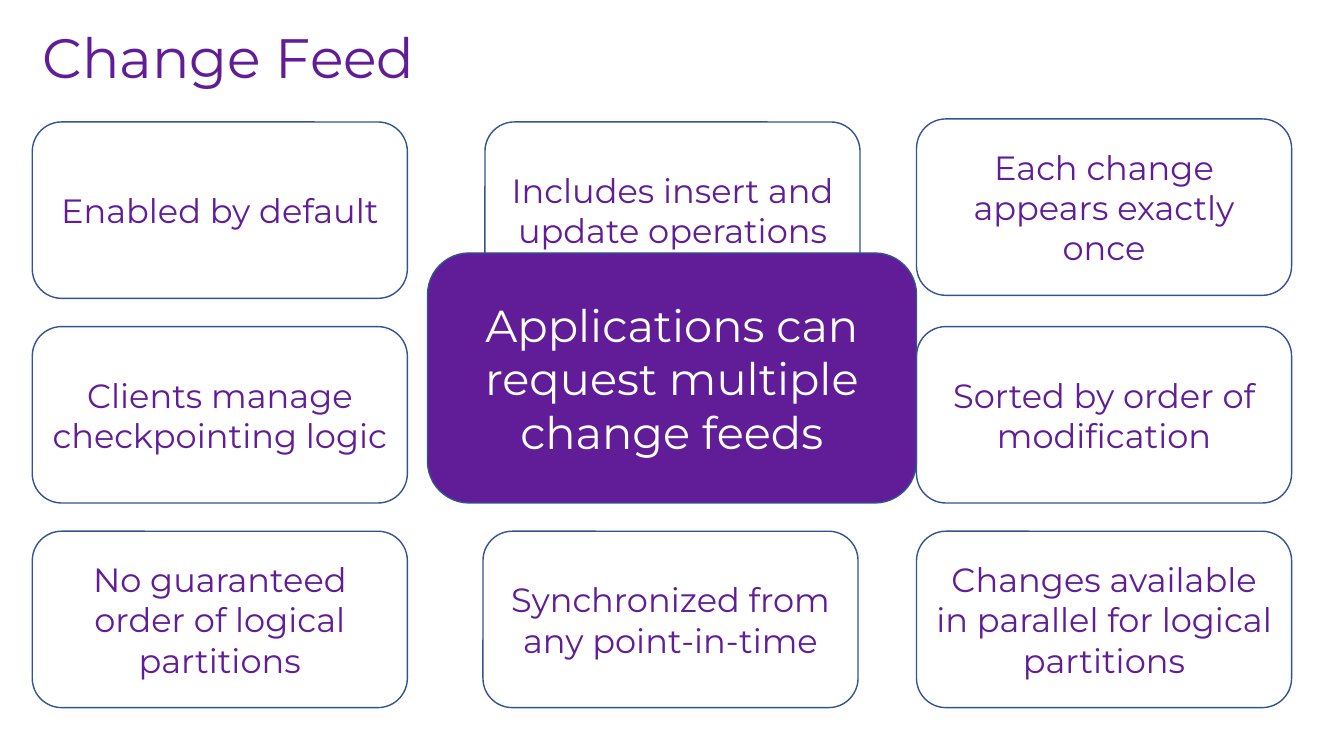
"""Build the Change Feed slide: a grid of feature cards around one key message."""
from pptx import Presentation
from pptx.dml.color import RGBColor
from pptx.enum.shapes import MSO_SHAPE as Shape
from pptx.enum.text import MSO_ANCHOR as Anchor, PP_ALIGN as Align
from pptx.util import Inches, Pt

TITLE = "Change Feed"
KEY_MESSAGE = "Applications can request multiple change feeds"
FEATURE_ROWS = [
    ["Enabled by default", "Includes insert and update operations",
     "Each change appears exactly once"],
    ["Clients manage checkpointing logic", None, "Sorted by order of modification"],
    ["No guaranteed order of logical partitions", "Synchronized from any point-in-time",
     "Changes available in parallel for logical partitions"],
]
COLORS = {"purple": "611C97", "white": "FFFFFF", "outline": "325491"}
FONT = "Montserrat"

TITLE_BOX = (0.32, 0.23, 12.66, 0.74)
KEY_BOX = (4.24, 2.51, 4.85, 2.48)
COLUMN_LEFTS = (0.32, 4.81, 9.09)
FIRST_TOP, ROW_PITCH = 1.21, 2.03
CARD_WIDTH, CARD_HEIGHT = 3.72, 1.75
NUDGES = {(0, 2): (0, -0.03), (2, 1): (-0.02, 0)}


def rgb(name):
    return RGBColor.from_string(COLORS[name])


def write(holder, text, size, color="purple", align=Align.CENTER, spacing=1.0):
    frame = holder.text_frame
    frame.word_wrap = True
    frame.vertical_anchor = Anchor.MIDDLE
    paragraph = frame.paragraphs[0]
    paragraph.alignment = align
    paragraph.line_spacing = spacing
    run = paragraph.add_run()
    run.text = text
    run.font.name = FONT
    run.font.size = Pt(size)
    run.font.color.rgb = rgb(color)


def add_card(slide, box, text, size=24, fill="white", color="purple"):
    card = slide.shapes.add_shape(Shape.ROUNDED_RECTANGLE, *map(Inches, box))
    card.shadow.inherit = False
    card.fill.solid()
    card.fill.fore_color.rgb = rgb(fill)
    card.line.color.rgb = rgb("outline")
    card.line.width = Pt(1)
    write(card, text, size, color=color)


def main():
    deck = Presentation()
    deck.slide_width, deck.slide_height = Inches(13.33), Inches(7.5)
    slide = deck.slides.add_slide(deck.slide_layouts[6])

    title = slide.shapes.add_textbox(*map(Inches, TITLE_BOX))
    write(title, TITLE, 39.6, align=Align.LEFT, spacing=0.9)

    for row, features in enumerate(FEATURE_ROWS):
        for column, feature in enumerate(features):
            if feature:
                shift_x, shift_y = NUDGES.get((row, column), (0, 0))
                left = COLUMN_LEFTS[column] + shift_x
                top = FIRST_TOP + row * ROW_PITCH + shift_y
                add_card(slide, (left, top, CARD_WIDTH, CARD_HEIGHT), feature)

    add_card(slide, KEY_BOX, KEY_MESSAGE, size=32, fill="purple", color="white")
    deck.save("out.pptx")


if __name__ == "__main__":
    main()
